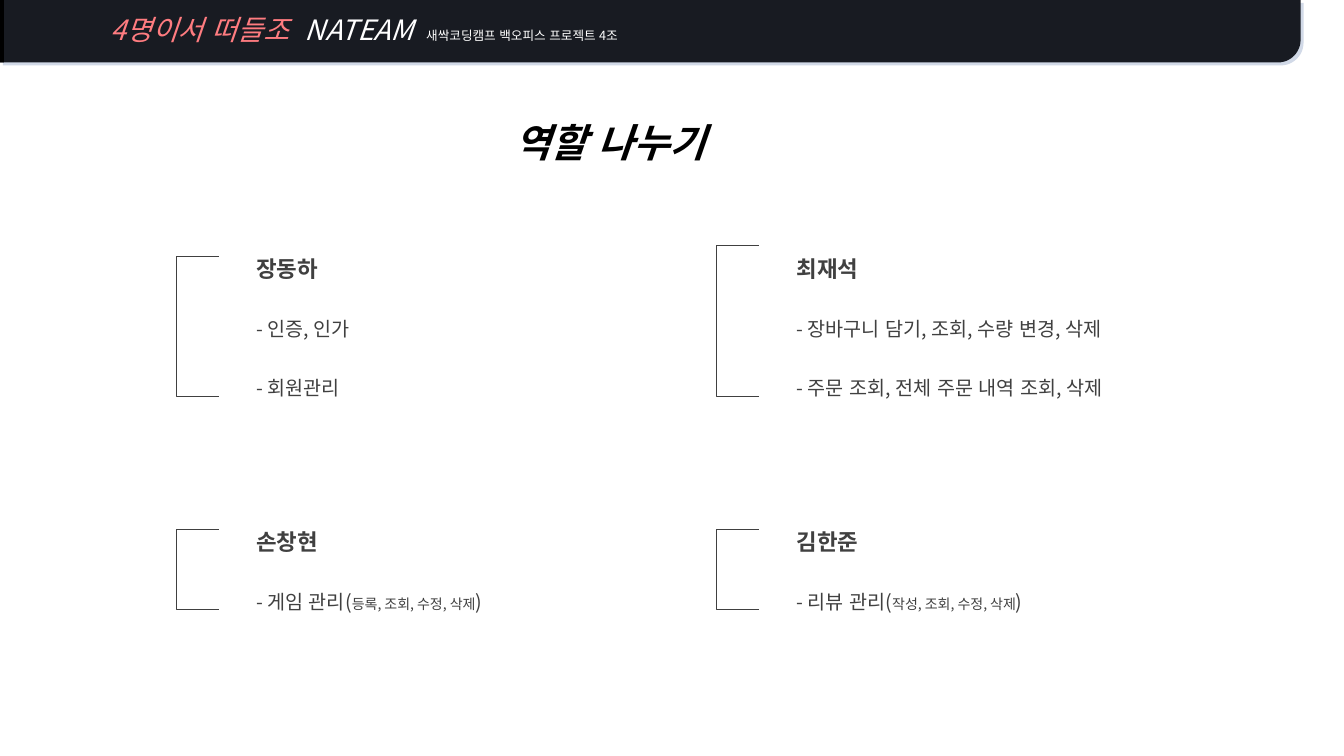
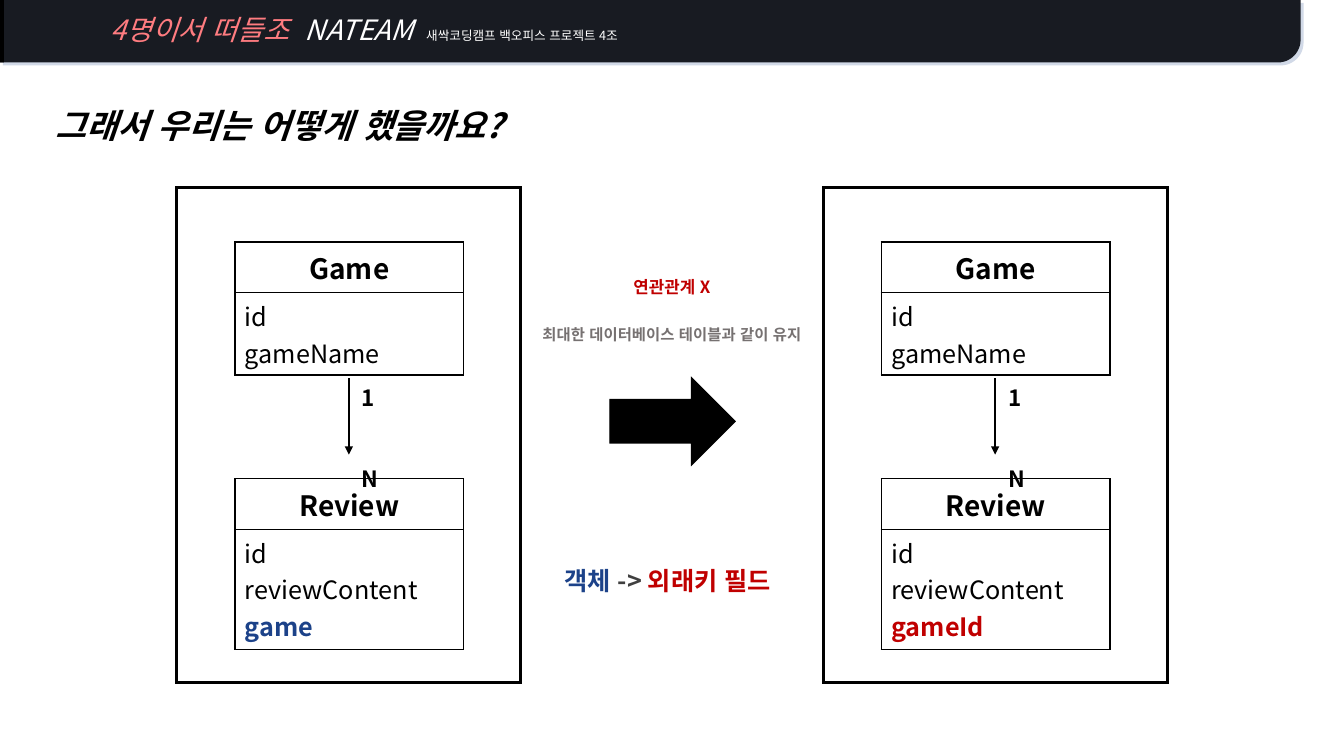
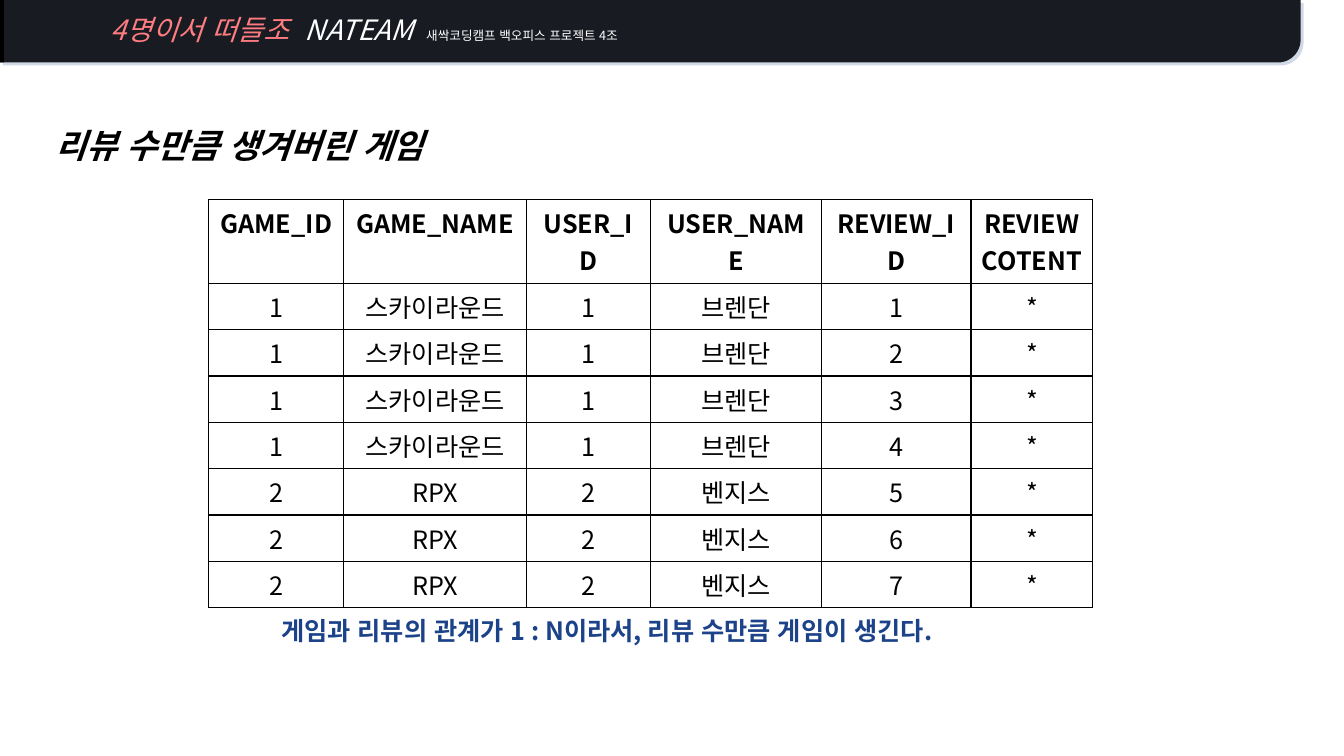
from lxml.etree import SubElement
from pptx import Presentation
from pptx.dml.color import RGBColor
from pptx.enum.lang import MSO_LANGUAGE_ID
from pptx.enum.shapes import MSO_CONNECTOR, MSO_SHAPE
from pptx.enum.text import MSO_ANCHOR, MSO_AUTO_SIZE, PP_ALIGN
from pptx.oxml.ns import qn
from pptx.util import Inches, Pt

FONT = "Noto Sans CJK KR"
BLACK = RGBColor(0x00, 0x00, 0x00)
WHITE = RGBColor(0xFF, 0xFF, 0xFF)
NAVY = RGBColor(0x18, 0x1B, 0x22)
CORAL = RGBColor(0xFF, 0x7C, 0x80)
BLUE = RGBColor(0x1C, 0x42, 0x89)
RED = RGBColor(0xC0, 0x00, 0x00)
DARK = RGBColor(0x40, 0x40, 0x40)
GRAY = RGBColor(0x76, 0x71, 0x71)


def write(tf, lines, spacing=1.0, align=PP_ALIGN.LEFT, indent=0):
    """Fill a text frame; each line is a list of (text, size, colour, style) runs."""
    for i, line in enumerate(lines):
        p = tf.add_paragraph() if i else tf.paragraphs[0]
        p.alignment, p.line_spacing, p.space_before = align, spacing, Pt(0)
        pPr = p._p.get_or_add_pPr()
        pPr.set("marL", str(Inches(indent)))
        pPr.set("indent", "0")
        SubElement(pPr, qn("a:buNone"))
        for text, size, colour, style in line:
            r = p.add_run()
            r.text = text
            r.font.size, r.font.name = Pt(size), FONT
            r.font.bold, r.font.italic = "b" in style, "i" in style
            r.font.color.rgb = colour
            r.font.language_id = MSO_LANGUAGE_ID.KOREAN
            SubElement(r._r.get_or_add_rPr(), qn("a:ea"), typeface=FONT)


def put(sp, box, lines, **layout):
    """Move a text box or placeholder to box (inches) and write its lines."""
    sp.left, sp.top, sp.width, sp.height = map(Inches, box)
    tf = sp.text_frame
    tf.word_wrap, tf.auto_size = True, MSO_AUTO_SIZE.SHAPE_TO_FIT_TEXT
    tf.vertical_anchor = MSO_ANCHOR.TOP
    write(tf, lines, **layout)


prs = Presentation()
prs.slide_width, prs.slide_height = Inches(13.33), Inches(7.5)

# Slides and titles
COMPARISON, TITLE_ONLY = prs.slide_layouts[4], prs.slide_layouts[5]
slides = []
for layout, title, size, box in [
    (COMPARISON, "역할 나누기", 28, (4.81, 1.12, 8.41, 0.57)),
    (TITLE_ONLY, "그래서 우리는 어떻게 했을까요?", 24, (0.26, 0.99, 5.88, 0.5)),
    (TITLE_ONLY, "리뷰 수만큼 생겨버린 게임", 24, (0.26, 1.19, 11.6, 0.5)),
]:
    s = prs.slides.add_slide(layout)
    put(s.shapes.title, box, [[(title, size, BLACK, "bi")]], indent=0.19)
    slides.append(s)
roles, design, result = slides

# Header band, moved to the master so that every slide shows it
band = roles.shapes.add_shape(MSO_SHAPE.ROUND_1_RECTANGLE, 0, 0, Inches(12.9), Inches(0.62))
band.adjustments[0] = 0.363
band.element.spPr.xfrm.set("flipV", "1")
edge = roles.shapes.add_shape(MSO_SHAPE.RECTANGLE, 0, 0, Inches(0.04), Inches(0.62))
for sp, colour in [(band, NAVY), (edge, BLACK)]:
    sp.shadow.inherit = False
    sp.fill.solid()
    sp.fill.fore_color.rgb = colour
    sp.line.fill.background()
effects = band.element.spPr.find(qn("a:effectLst"))
shadow = SubElement(effects, qn("a:outerShdw"), blurRad="0", dist=str(Pt(3)), dir="2700000",
                    algn="tl", rotWithShape="0")
SubElement(SubElement(shadow, qn("a:srgbClr"), val=str(BLUE)), qn("a:alpha"), val="20000")
team = roles.shapes.add_textbox(0, 0, 0, 0)
put(team, (1, 0.08, 7.62, 0.44), [[
    ("4명이서 떠들조 ", 20, CORAL, "i"),
    (" NATEAM  ", 20, WHITE, "i"),
    ("새싹코딩캠프 백오피스 프로젝트 4조", 9, WHITE, ""),
]])
for sp in (band, edge, team):
    prs.slide_master.shapes.element.append(sp.element)

# Roles: two columns by two rows, each a bracket and a list
members = [
    ("장동하", 1.75, 2.08, 2.54, 3.93, [[("- 인증, 인가", 14)], [("- 회원관리", 14)]]),
    ("손창현", 1.75, 4.79, 5.25, 6.05,
     [[("- 게임 관리(", 14), ("등록, 조회, 수정, 삭제", 10), (")", 14)]]),
    ("최재석", 7.11, 2.08, 2.43, 3.93,
     [[("- 장바구니 담기, 조회, 수량 변경, 삭제", 14)],
      [("- 주문 조회, 전체 주문 내역 조회, 삭제", 14)]]),
    ("김한준", 7.11, 4.79, 5.25, 6.05,
     [[("- 리뷰 관리(", 14), ("작성, 조회, 수정, 삭제", 10), (")", 14)]]),
]
bodies = list(roles.placeholders)[1:]
for body, (name, x, top, bracket_top, bottom, tasks) in zip(bodies, members):
    lines = [[(name, 16, DARK, "b")]]
    lines += [[(text, size, DARK, "") for text, size in task] for task in tasks]
    put(body, (x + 0.69, top, 5.3, bottom - top), lines, spacing=2.5)
    bracket = roles.shapes.add_shape(
        MSO_SHAPE.LEFT_BRACKET, *map(Inches, (x, bracket_top, 0.42, bottom - bracket_top)))
    bracket.adjustments[0] = 0
    bracket.shadow.inherit = False
    bracket.fill.background()
    bracket.line.color.rgb, bracket.line.width = DARK, Pt(0.5)

# Design: two entity panels around an arrow; tables are collected as (slide, x, y, columns, rows)
tables = []
for x, table_x, key, colour in [(1.75, 2.33, "game", BLUE), (8.17, 8.74, "gameId", RED)]:
    panel = design.shapes.add_shape(MSO_SHAPE.RECTANGLE, *map(Inches, (x, 1.86, 3.41, 4.91)))
    panel.shadow.inherit = False
    panel.fill.background()
    panel.line.color.rgb, panel.line.width = BLACK, Pt(2.25)
    SubElement(panel.element.spPr.find(qn("a:ln")), qn("a:miter"), lim="800000")

    for y, entity, fields, height in [(2.4, "Game", ["id", "gameName"], 0.82),
                                      (4.75, "Review", ["id", "reviewContent", key], 1.19)]:
        lines = [[(f, 18, colour, "b") if f == key else (f, 18, BLACK, "")] for f in fields]
        rows = [(0.5, PP_ALIGN.CENTER, [[[(entity, 20, BLACK, "b")]]]),
                (height, PP_ALIGN.LEFT, [lines])]
        tables.append((design, table_x, y, [2.27], rows))

    middle = table_x + 1.13
    link = design.shapes.add_connector(
        MSO_CONNECTOR.STRAIGHT, *map(Inches, (middle, 3.75, middle, 4.51)))
    link.line.color.rgb, link.line.width = BLACK, Pt(1.5)
    SubElement(link.element.spPr.find(qn("a:ln")), qn("a:tailEnd"), type="triangle")
    SubElement(link.element.spPr, qn("a:effectLst"))
    put(design.shapes.add_textbox(0, 0, 0, 0), (middle + 0.03, 3.23, 0.28, 1.56),
        [[(end, 16, BLACK, "b")] for end in "1N"], spacing=3.0)

arrow = design.shapes.add_shape(MSO_SHAPE.RIGHT_ARROW, *map(Inches, (6.05, 3.75, 1.24, 0.86)))
arrow.shadow.inherit = False
arrow.fill.solid()
arrow.fill.fore_color.rgb = arrow.line.color.rgb = BLACK
arrow.line.width = Pt(1)
SubElement(arrow.element.spPr.find(qn("a:ln")), qn("a:miter"), lim="800000")
put(design.shapes.add_textbox(0, 0, 0, 0), (4.96, 2.4, 3.41, 1.02),
    [[("연관관계 X", 12, RED, "b")],
     [("최대한 데이터베이스 테이블과 같이 유지", 11, GRAY, "b")]],
    spacing=2.5, align=PP_ALIGN.CENTER)
put(design.shapes.add_textbox(0, 0, 0, 0), (5.5, 5.11, 2.95, 0.72),
    [[("객체 ", 18, BLUE, "b"), ("-> ", 18, DARK, "b"), ("외래키 필드", 18, RED, "b")]],
    spacing=2.5)

# Result: one row per review
headers = ["GAME_ID", "GAME_NAME", "USER_ID", "USER_NAME", "REVIEW_ID", "REVIEW\nCOTENT"]
games = [("1", "스카이라운드", "1", "브렌단")] * 4 + [("2", "RPX", "2", "벤지스")] * 3
records = [headers] + [[*game, str(n), "*"] for n, game in enumerate(games, 1)]
rows = []
for i, record in enumerate(records):
    height, style = (0.46, "") if i else (0.83, "b")
    cells = [[[(line, 18, BLACK, style)] for line in value.split("\n")] for value in record]
    rows.append((height, PP_ALIGN.CENTER, cells))
tables.append((result, 2.07, 1.98, [1.34, 1.81, 1.23, 1.7, 1.48, 1.21], rows))
put(result.shapes.add_textbox(0, 0, 0, 0), (2.5, 6.06, 8.4, 0.4),
    [[("게임과 리뷰의 관계가 1 : N이라서, 리뷰 수만큼 게임이 생긴다.", 18, BLUE, "b")]],
    indent=0.19)

# All tables: thin black grid, no fill
for s, x, y, columns, rows in tables:
    height = sum(row[0] for row in rows)
    table = s.shapes.add_table(len(rows), len(columns),
                               *map(Inches, (x, y, sum(columns), height))).table
    table.first_row = table.horz_banding = False
    for column, width in zip(table.columns, columns):
        column.width = Inches(width)
    for i, (row_height, align, cells) in enumerate(rows):
        table.rows[i].height = Inches(row_height)
        for j, lines in enumerate(cells):
            cell = table.cell(i, j)
            write(cell.text_frame, lines, align=align)
            tcPr = cell._tc.get_or_add_tcPr()
            for side in ("lnL", "lnR", "lnT", "lnB"):
                ln = SubElement(tcPr, qn(f"a:{side}"), w=str(Pt(1)))
                SubElement(SubElement(ln, qn("a:solidFill")), qn("a:srgbClr"), val=str(BLACK))
            cell.fill.background()

prs.save("out.pptx")
